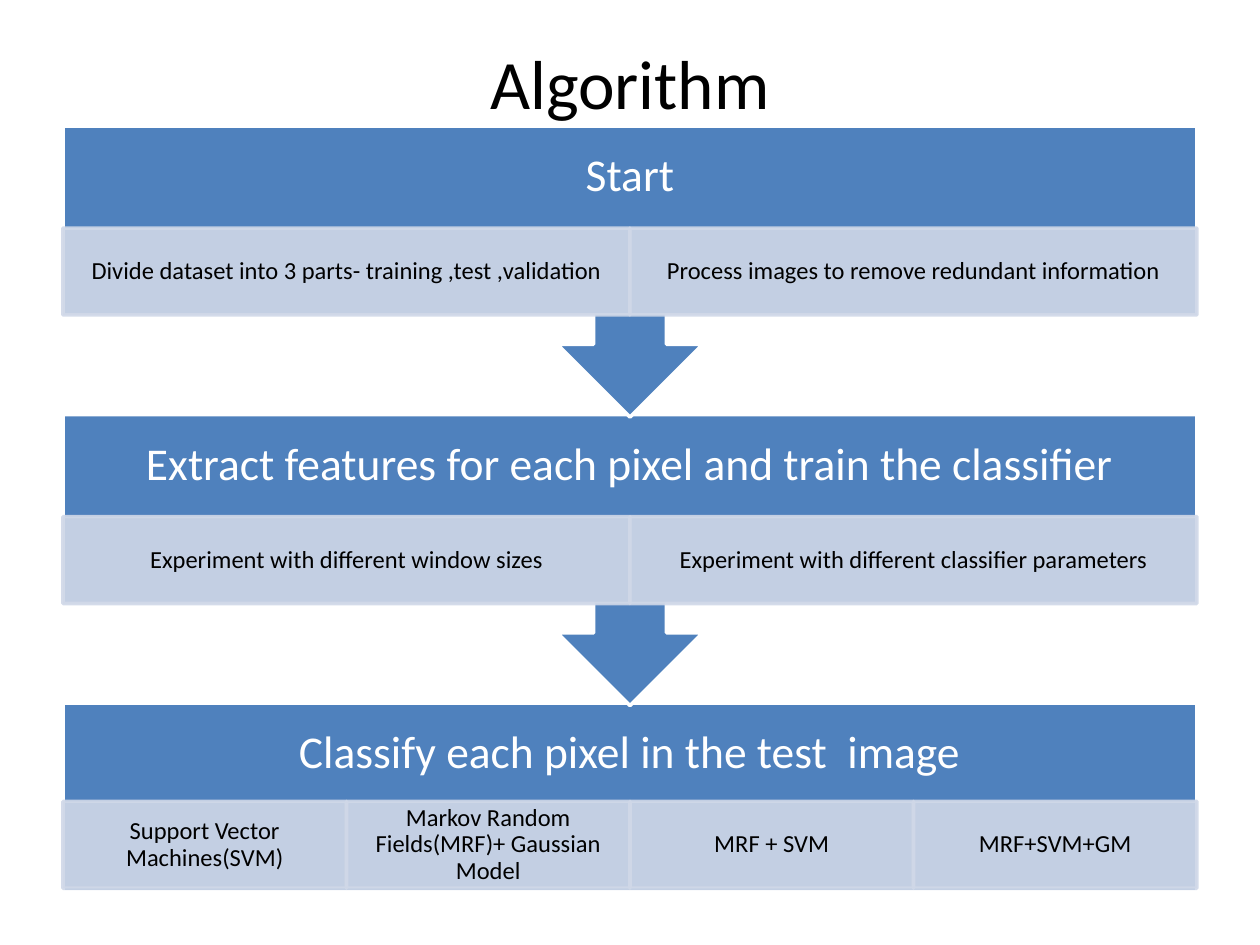
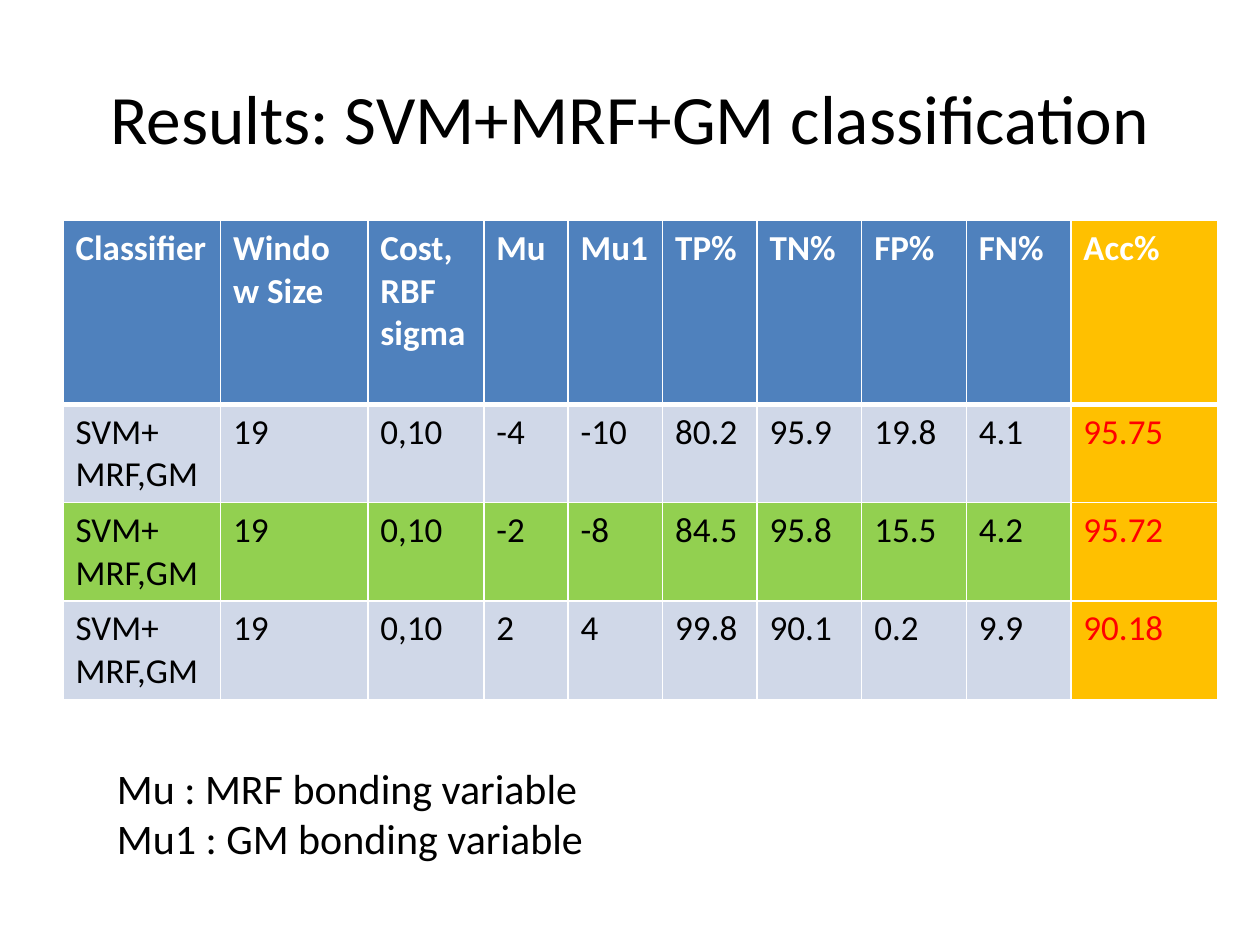
"""Builds two slides: the steps of an image classification algorithm and its results."""
from lxml.etree import SubElement
from pptx import Presentation
from pptx.dml.color import RGBColor
from pptx.enum.shapes import MSO_SHAPE
from pptx.enum.text import MSO_ANCHOR, PP_ALIGN
from pptx.oxml.ns import qn
from pptx.util import Inches, Pt

BLACK = RGBColor(0x00, 0x00, 0x00)
WHITE = RGBColor(0xFF, 0xFF, 0xFF)
BLUE = RGBColor(0x4F, 0x81, 0xBD)
PALE_BLUE = RGBColor(0xD0, 0xD8, 0xE8)
GREEN = RGBColor(0x92, 0xD0, 0x50)
GOLD = RGBColor(0xFF, 0xC0, 0x00)
RED = RGBColor(0xFF, 0x00, 0x00)

FONT = "Calibri"
GRID_COLUMNS, GRID_ROWS = 20, 15
LEFT, CONTENT_WIDTH = 1, 18

FIRST_STEP, STEP_PITCH = 2, 4.58
CALLOUT_HEIGHT, LAST_STEP_HEIGHT = 4.62, 3
HEADING_HEIGHT, DETAIL_HEIGHT = 1.62, 1.38
LAST_DETAIL_OFFSET = 1.56

STEPS = [
    ("Start", ["Divide dataset into 3 parts- training ,test ,validation",
               "Process images to remove redundant information"]),
    ("Extract features for each pixel and train the classifier",
     ["Experiment with different window sizes",
      "Experiment with different classifier parameters"]),
    ("Classify each pixel in the test  image",
     ["Support Vector Machines(SVM)",
      "Markov Random Fields(MRF)+ Gaussian Model",
      "MRF + SVM", "MRF+SVM+GM"]),
]

RESULT_HEADINGS = ["Classifier", "Window Size", "Cost, RBF sigma", "Mu", "Mu1",
                   "TP%", "TN%", "FP%", "FN%", "Acc%"]
RESULT_WIDTHS = [2.5, 2.34, 1.84, 1.34, 1.5, 1.5, 1.66, 1.66, 1.66, 2.34]
RESULT_HEIGHTS = [2.92, 1.56, 1.56, 1.56]
CLASSIFIER = "SVM+\nMRF,GM"
RESULTS = [
    [CLASSIFIER, "19", "0,10", "-4", "-10", "80.2", "95.9", "19.8", "4.1", "95.75"],
    [CLASSIFIER, "19", "0,10", "-2", "-8", "84.5", "95.8", "15.5", "4.2", "95.72"],
    [CLASSIFIER, "19", "0,10", "2", "4", "99.8", "90.1", "0.2", "9.9", "90.18"],
]
BEST_RESULT = 2


class Deck:
    """Holds the shared style, the grid and the current slide."""

    def __init__(self):
        """Start an empty presentation with its grid."""
        self.presentation = Presentation()
        self.presentation.slide_width = Inches(10)
        self.presentation.slide_height = Inches(7.5)
        self.slide = None

    def across(self, columns):
        """Turn grid columns into a length."""
        return round(self.presentation.slide_width * columns / GRID_COLUMNS)

    def down(self, rows):
        """Turn grid rows into a length."""
        return round(self.presentation.slide_height * rows / GRID_ROWS)

    def place(self, left, top, width, height):
        """Turn a grid area into position and size."""
        return self.across(left), self.down(top), self.across(width), self.down(height)

    def set_text(self, frame, text, size, color, align=PP_ALIGN.LEFT, bold=False, spacing=1.0):
        """Set each line of the text as a styled paragraph."""
        frame.text = text
        for paragraph in frame.paragraphs:
            paragraph.alignment = align
            paragraph.line_spacing = spacing
            font = paragraph.font
            font.name, font.size, font.bold = FONT, Pt(size), bold
            font.color.rgb = color

    def add_slide(self, title, title_height):
        """Add a blank slide with a centred title."""
        layout = self.presentation.slide_layouts[6]
        self.slide = self.presentation.slides.add_slide(layout)
        self.add_text(title, (LEFT, 0.6, CONTENT_WIDTH, title_height), 39.6,
                      align=PP_ALIGN.CENTER, anchor=MSO_ANCHOR.MIDDLE)

    def add_text(self, text, area, size, color=BLACK, align=PP_ALIGN.LEFT,
                 anchor=MSO_ANCHOR.TOP, spacing=1.0):
        """Add a wrapping text box."""
        frame = self.slide.shapes.add_textbox(*self.place(*area)).text_frame
        frame.word_wrap = True
        frame.vertical_anchor = anchor
        self.set_text(frame, text, size, color, align, spacing=spacing)

    def add_block(self, kind, area, fill, line, opacity=100):
        """Add a filled and outlined preset shape."""
        shape = self.slide.shapes.add_shape(kind, *self.place(*area))
        shape.shadow.inherit = False
        shape.fill.solid()
        shape.fill.fore_color.rgb = fill
        shape.line.color.rgb = line
        shape.line.width = Pt(2)
        if opacity < 100:
            for color in shape.element.spPr.iter(qn("a:srgbClr")):
                SubElement(color, qn("a:alpha"), val=str(opacity * 1000))
        return shape

    def add_detail(self, text, area):
        """Add a translucent box with a short text."""
        shape = self.add_block(MSO_SHAPE.RECTANGLE, area, PALE_BLUE, PALE_BLUE, opacity=90)
        frame = shape.text_frame
        frame.word_wrap = True
        frame.vertical_anchor = MSO_ANCHOR.MIDDLE
        frame.margin_left = frame.margin_right = Inches(0.11)
        frame.margin_top = frame.margin_bottom = Inches(0.02)
        self.set_text(frame, text, 14, BLACK, PP_ALIGN.CENTER, spacing=0.9)

    def add_step(self, index, heading, details, is_last):
        """Add one step with its heading and a row of details."""
        top = FIRST_STEP + index * STEP_PITCH
        kind = MSO_SHAPE.RECTANGLE if is_last else MSO_SHAPE.UP_ARROW_CALLOUT
        height = LAST_STEP_HEIGHT if is_last else CALLOUT_HEIGHT
        block = self.add_block(kind, (LEFT, top, CONTENT_WIDTH, height), BLUE, WHITE)
        block.rotation = 0 if is_last else 180
        self.add_text(heading, (LEFT, top, CONTENT_WIDTH, HEADING_HEIGHT), 26, WHITE,
                      PP_ALIGN.CENTER, MSO_ANCHOR.MIDDLE, spacing=0.9)
        detail_top = top + (LAST_DETAIL_OFFSET if is_last else HEADING_HEIGHT)
        width = CONTENT_WIDTH / len(details)
        for position, detail in enumerate(details):
            self.add_detail(detail, (LEFT + position * width, detail_top, width, DETAIL_HEIGHT))

    def add_cell(self, cell, text, fill, color, is_heading):
        """Fill one table cell and give it white borders."""
        properties = cell._tc.get_or_add_tcPr()
        for side in "LRTB":
            points = 3 if is_heading and side == "B" else 1
            border = SubElement(properties, qn(f"a:ln{side}"), w=str(Pt(points)))
            solid = SubElement(border, qn("a:solidFill"))
            SubElement(solid, qn("a:srgbClr"), val=str(WHITE))
        cell.fill.solid()
        cell.fill.fore_color.rgb = fill
        self.set_text(cell.text_frame, text, 20, color, bold=is_heading)

    def add_results(self, left, top):
        """Add the results table with its accuracy column highlighted."""
        rows = [RESULT_HEADINGS] + RESULTS
        area = self.place(left, top, sum(RESULT_WIDTHS), sum(RESULT_HEIGHTS))
        table = self.slide.shapes.add_table(len(rows), len(RESULT_HEADINGS), *area).table
        for column, width in zip(table.columns, RESULT_WIDTHS):
            column.width = self.across(width)
        for row, height in zip(table.rows, RESULT_HEIGHTS):
            row.height = self.down(height)
        row_fills = {0: BLUE, BEST_RESULT: GREEN}
        accuracy = len(RESULT_HEADINGS) - 1
        for row_index, values in enumerate(rows):
            is_heading = row_index == 0
            for column_index, value in enumerate(values):
                is_accuracy = column_index == accuracy
                fill = GOLD if is_accuracy else row_fills.get(row_index, PALE_BLUE)
                color = WHITE if is_heading else RED if is_accuracy else BLACK
                self.add_cell(table.cell(row_index, column_index), value, fill, color, is_heading)


def main():
    """Build both slides and save them."""
    deck = Deck()
    deck.add_slide("Algorithm", 1.4)
    last = len(STEPS) - 1
    for index in range(last, -1, -1):
        deck.add_step(index, *STEPS[index], is_last=index == last)

    deck.add_slide("Results: SVM+MRF+GM classification", 2.5)
    deck.add_results(LEFT, 3.5)
    deck.add_text("Mu : MRF bonding variable\nMu1 : GM bonding variable", (1.66, 12, 17, 1.82), 24)
    deck.presentation.save("out.pptx")


if __name__ == "__main__":
    main()
